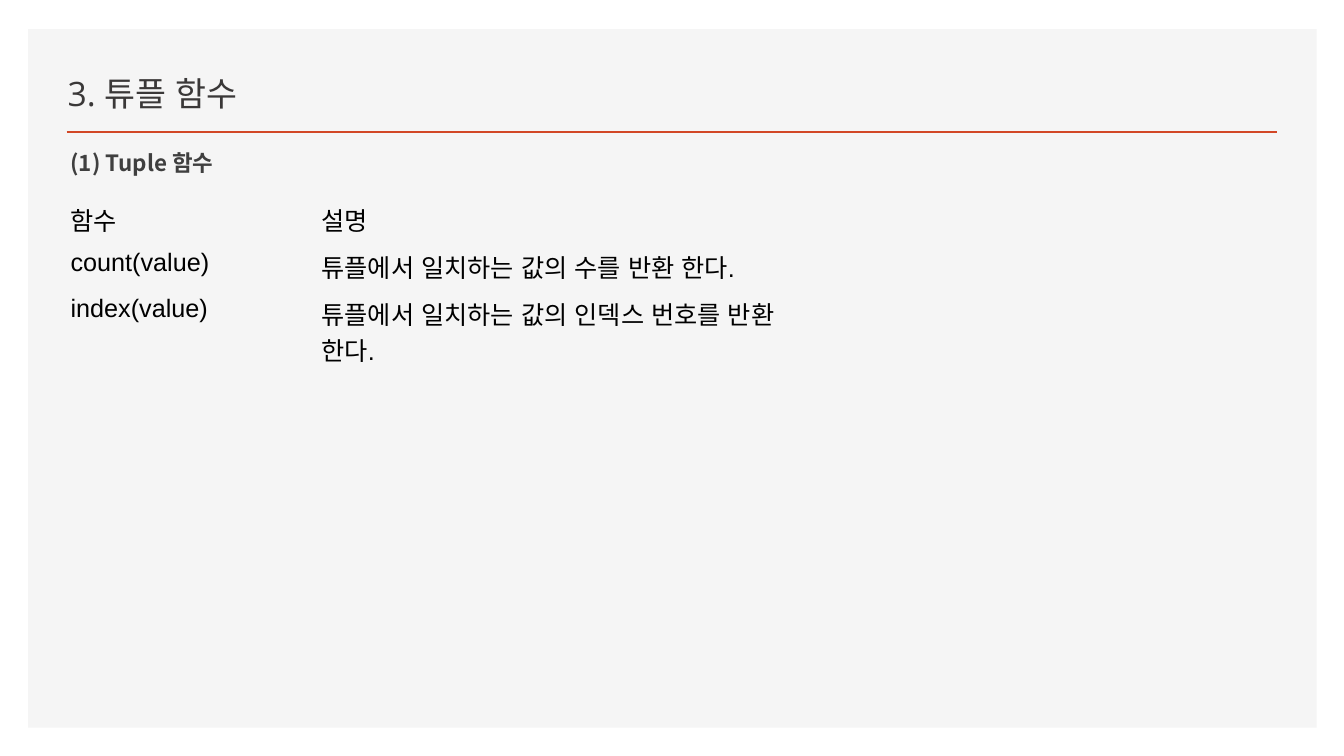
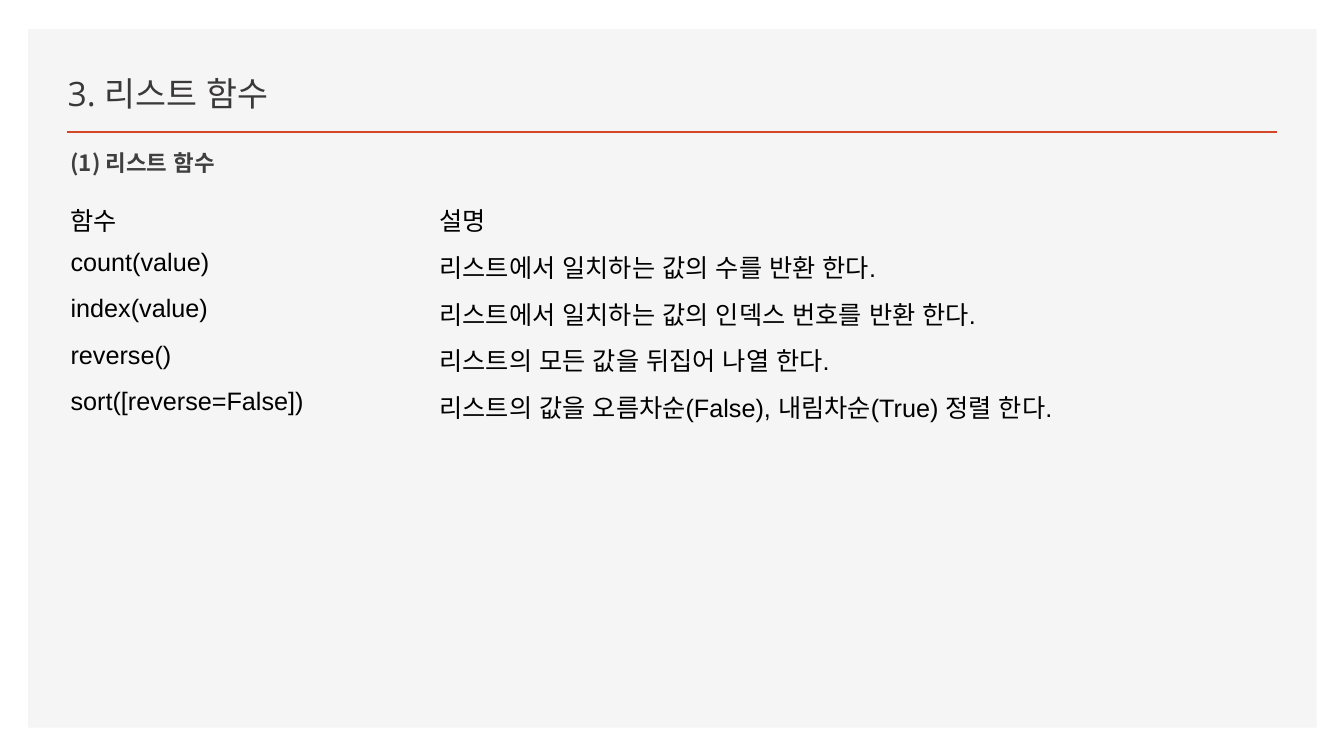
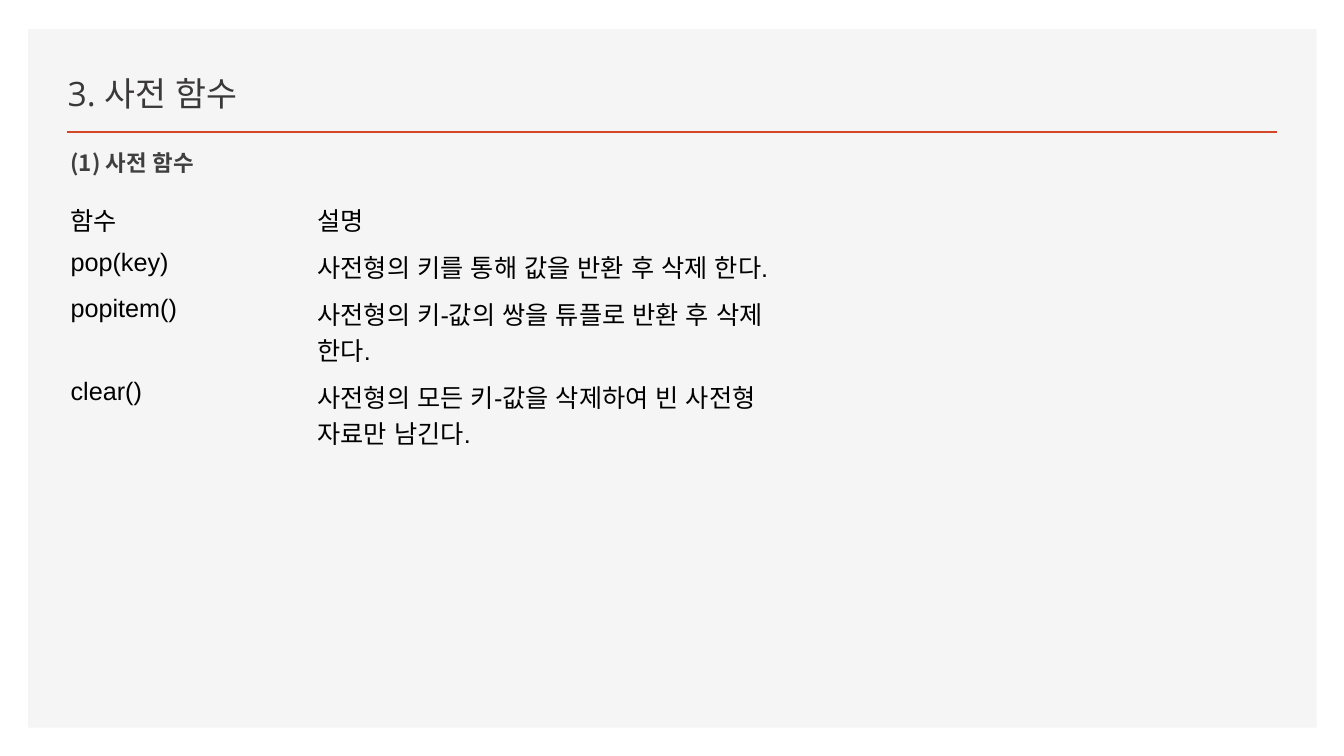
from dataclasses import dataclass

from pptx import Presentation
from pptx import util as u
from pptx.dml.color import RGBColor
from pptx.enum import lang, shapes, text
from pptx.oxml import parse_xml
from pptx.oxml.ns import nsdecls, qn

PANEL_COLOR = "F5F5F5"
RULE_COLOR = "D24726"
TITLE_COLOR = "3A3838"
SUBHEADING_COLOR = "3F3F3F"
TABLE_COLOR = "000000"
KOREAN_FONT = "Noto Sans CJK KR"
PLAIN_TABLE_STYLE = "{2D5ABB26-0587-4C30-8999-92F81FD0307C}"
TITLE_ONLY = 5
ROW_HEIGHT = 0.46
HEADER = ("함수", "설명")


@dataclass(frozen=True)
class TextStyle:
    font: str
    size: int
    color: str
    bold: bool = False
    line_spacing: float = 1.0


@dataclass(frozen=True)
class FunctionSlide:
    title: str
    subheading: str
    column_widths: tuple[float, float]
    functions: tuple[tuple[str, str], ...]


TITLE_STYLE = TextStyle("Open Sans", 24, TITLE_COLOR, line_spacing=0.9)
SUBHEADING_STYLE = TextStyle(KOREAN_FONT, 16, SUBHEADING_COLOR, bold=True, line_spacing=1.12)
TABLE_STYLE = TextStyle("Arial", 18, TABLE_COLOR)

FUNCTION_SLIDES = (
    FunctionSlide("3. 튜플 함수", "(1) Tuple 함수", (2.49, 4.84), (
        ("count(value)", "튜플에서 일치하는 값의 수를 반환 한다."),
        ("index(value)", "튜플에서 일치하는 값의 인덱스 번호를 반환 한다."),
    )),
    FunctionSlide("3. 리스트 함수", "(1) 리스트 함수", (3.66, 7.09), (
        ("count(value)", "리스트에서 일치하는 값의 수를 반환 한다."),
        ("index(value)", "리스트에서 일치하는 값의 인덱스 번호를 반환 한다."),
        ("reverse()", "리스트의 모든 값을 뒤집어 나열 한다."),
        ("sort([reverse=False])", "리스트의 값을 오름차순(False), 내림차순(True) 정렬 한다."),
    )),
    FunctionSlide("3. 사전 함수", "(1) 사전 함수", (2.45, 4.99), (
        ("pop(key)", "사전형의 키를 통해 값을 반환 후 삭제 한다."),
        ("popitem()", "사전형의 키-값의 쌍을 튜플로 반환 후 삭제 한다."),
        ("clear()", "사전형의 모든 키-값을 삭제하여 빈 사전형 자료만 남긴다."),
    )),
)


def rgb(color: str) -> RGBColor:
    return RGBColor.from_string(color)


def write(text_frame, content: str, style: TextStyle) -> None:
    """Set one paragraph of left-aligned text in the given style."""
    text_frame.text = content
    paragraph = text_frame.paragraphs[0]
    paragraph.alignment = text.PP_ALIGN.LEFT
    paragraph.line_spacing = style.line_spacing
    font = paragraph.runs[0].font
    font.name = style.font
    font.size = u.Pt(style.size)
    font.bold = style.bold
    font.color.rgb = rgb(style.color)
    font.language_id = lang.MSO_LANGUAGE_ID.KOREAN
    latin = paragraph.runs[0]._r.rPr.find(qn("a:latin"))
    latin.addnext(parse_xml(f'<a:ea {nsdecls("a")} typeface="{KOREAN_FONT}"/>'))


def add_background(slide) -> None:
    """Draw the panel and title rule, then move them to the slide's layout."""
    panel = slide.shapes.add_shape(
        shapes.MSO_SHAPE.RECTANGLE,
        u.Inches(0.28), u.Inches(0.29), u.Inches(12.78), u.Inches(6.93))
    panel.shadow.inherit = False
    panel.fill.solid()
    panel.fill.fore_color.rgb = rgb(PANEL_COLOR)
    panel.line.fill.background()

    rule = slide.shapes.add_connector(
        shapes.MSO_CONNECTOR.STRAIGHT,
        u.Inches(0.66), u.Inches(1.31), u.Inches(12.67), u.Inches(1.31))
    rule.line.color.rgb = rgb(RULE_COLOR)
    rule.line.width = u.Pt(2)
    rule.element.spPr.append(parse_xml(f'<a:effectLst {nsdecls("a")}/>'))

    for shape in (panel, rule):
        slide.slide_layout.shapes.element.append(shape.element)


def add_title(slide, content: str) -> None:
    title = slide.shapes.title
    title.left, title.top = u.Inches(0.57), u.Inches(0.48)
    title.width, title.height = u.Inches(4.85), u.Inches(0.7)
    title.text_frame.vertical_anchor = text.MSO_ANCHOR.BOTTOM
    title.text_frame.auto_size = text.MSO_AUTO_SIZE.NONE
    write(title.text_frame, content, TITLE_STYLE)


def add_subheading(slide, content: str) -> None:
    subheading = slide.shapes.add_textbox(
        u.Inches(0.6), u.Inches(1.4), u.Inches(8.35), u.Inches(0.35))
    subheading.text_frame.word_wrap = True
    write(subheading.text_frame, content, SUBHEADING_STYLE)


def add_function_table(slide, content: FunctionSlide) -> None:
    rows = (HEADER, *content.functions)
    frame = slide.shapes.add_table(
        len(rows), len(HEADER), u.Inches(0.6), u.Inches(1.95),
        u.Inches(sum(content.column_widths)), u.Inches(ROW_HEIGHT * len(rows)))
    frame.element.find(".//" + qn("a:tableStyleId")).text = PLAIN_TABLE_STYLE
    table = frame.table
    table.first_row = table.horz_banding = False
    for column, width in zip(table.columns, content.column_widths):
        column.width = u.Inches(width)
    for row, values in zip(table.rows, rows):
        for cell, value in zip(row.cells, values):
            cell.fill.background()
            write(cell.text_frame, value, TABLE_STYLE)


def main() -> None:
    presentation = Presentation()
    presentation.slide_width = u.Inches(13.33)
    presentation.slide_height = u.Inches(7.5)
    layout = presentation.slide_layouts[TITLE_ONLY]
    for content in FUNCTION_SLIDES:
        slide = presentation.slides.add_slide(layout)
        add_title(slide, content.title)
        add_function_table(slide, content)
        add_subheading(slide, content.subheading)
    add_background(presentation.slides[0])
    presentation.save("out.pptx")


if __name__ == "__main__":
    main()
